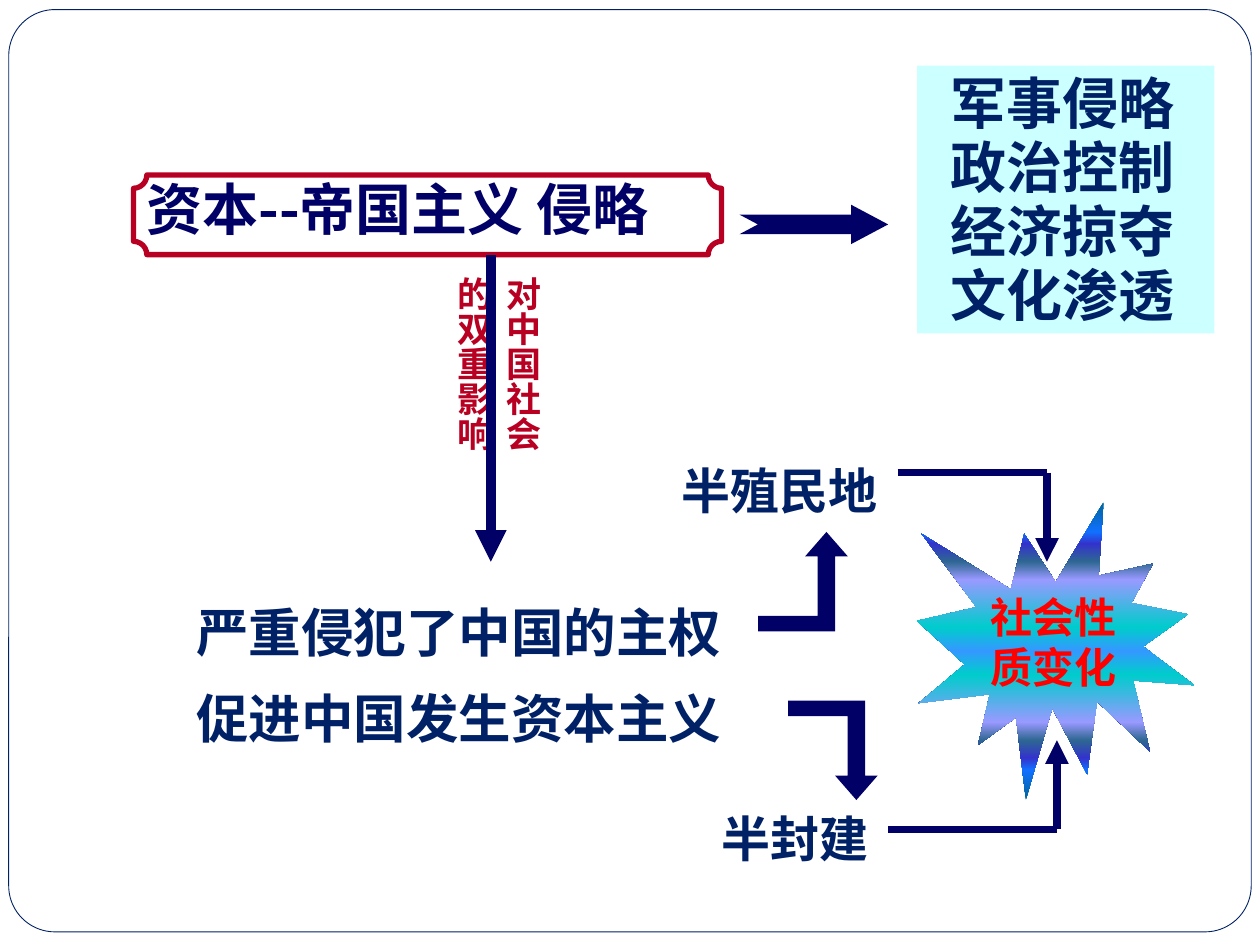
from lxml import etree
from pptx import Presentation
from pptx.dml.color import RGBColor
from pptx.enum.dml import MSO_LINE
from pptx.enum.shapes import MSO_CONNECTOR, MSO_SHAPE
from pptx.enum.text import MSO_ANCHOR, MSO_AUTO_SIZE, PP_ALIGN
from pptx.oxml.ns import qn
from pptx.util import Pt

SOLID = MSO_LINE.SOLID
STRAIGHT = MSO_CONNECTOR.STRAIGHT
TOP, MIDDLE = MSO_ANCHOR.TOP, MSO_ANCHOR.MIDDLE
LEFT, CENTER = PP_ALIGN.LEFT, PP_ALIGN.CENTER

THEME = {
    "ink": "002166", "arrow": "000066", "accent": "B80023", "alert": "FF0000",
    "panel": "CCFFFF", "font": "Noto Sans CJK JP", "font_sc": "Noto Sans CJK SC",
    "font_latin": "Times New Roman",
    "title": 32, "body": 30, "label": 28, "burst": 24, "note": 20,
}

# Content: text, with boxes as (left, top, width, height) in points
TITLE = "资本--帝国主义 侵略"
TITLE_BOX = (76.3, 94.3, 329, 46)
PLAQUE_BOX = (76.3, 100, 336, 45.5)
FRAME_BOX = (5, 5.5, 710, 527)
FORMS = ["军事侵略", "政治控制", "经济掠夺", "文化渗透"]
FORMS_BOX = (524, 37.5, 170, 153)
IMPACT = "对中国社会的双重影响"
IMPACT_BOX = (247, 151, 72, 124.5)
EFFECTS = ["严重侵犯了中国的主权", "促进中国发生资本主义"]
EFFECTS_BOX = (105, 332.6, 323, 97)
RESULTS = [("半殖民地", (382.3, 258.5, 127, 41)), ("半封建", (405.4, 457.2, 99, 41))]
CHANGE = ["社会性", "质变化"]
CHANGE_BOX = (524, 287, 158.5, 170)
NOTCHED_BOX = (422.5, 117, 85, 22.5)

# Lines: (points along the route, width); the last segment has the arrowhead
ROUTES = [
    ([(513, 270), (598.3, 270), (598.3, 321)], 4.5),
    ([(507.5, 474), (604, 474), (604, 423)], 4.5),
    ([(280.5, 145.5), (280.5, 321)], 6),
]
# Bent arrow outline, relative to its tip; y grows towards the tail
BENT_OUTLINE = [(0, 0), (-12.2, 14), (-5, 14), (-5, 48), (-39, 48),
                (-39, 56.8), (5, 56.8), (5, 14), (12.2, 14)]
BENT_ARROWS = [(472.3, 304, 1), (489.4, 457.2, -1)]  # tip x, tip y, direction

# First half of the burst's gradient, mirrored around the centre
HALF_GRADIENT = [(0, "006699"), (10, "1170FF"), (14, "3333CC"), (20, "2E6792"),
                 (26, "9999FF"), (42, "00CCCC"), (50, "3399FF")]


def color(name):
    return RGBColor.from_string(THEME[name])


def points(values):
    return [Pt(value) for value in values]


def write(shape, lines, size, ink, spacing, font="font", east_asian=None,
          align=LEFT, anchor=TOP, indent=0, wrap=True):
    """Fill a shape with paragraphs; spacing holds one line height per paragraph."""
    frame = shape.text_frame
    frame.auto_size = MSO_AUTO_SIZE.NONE
    frame.word_wrap = wrap
    frame.vertical_anchor = anchor
    frame.text = "\n".join(lines)
    for paragraph, height in zip(frame.paragraphs, spacing):
        paragraph.alignment = align
        paragraph.line_spacing = Pt(height)
        paragraph.font.size = Pt(THEME[size])
        paragraph.font.bold = True
        paragraph.font.color.rgb = color(ink)
        paragraph.font.name = THEME[font]
        properties = paragraph._p.get_or_add_pPr()
        if indent:
            properties.set("indent", str(Pt(indent)))
        defaults = properties.find(qn("a:defRPr"))
        typeface = etree.SubElement(defaults, qn("a:ea"))
        typeface.set("typeface", THEME[east_asian or font])
    return frame


def add_shape(kind, box, fill=None, line=None, width=1):
    shape = slide.shapes.add_shape(kind, *points(box))
    paint(shape, fill, line, width)
    return shape


def paint(shape, fill=None, line=None, width=1):
    shape.shadow.inherit = False
    if fill:
        shape.fill.solid()
        shape.fill.fore_color.rgb = color(fill)
    else:
        shape.fill.background()
    if line:
        shape.line.color.rgb = color(line)
        shape.line.width = Pt(width)
    else:
        shape.line.fill.background()


def add_text(box, lines, *args, **options):
    return write(slide.shapes.add_textbox(*points(box)), lines, *args, **options)


def add_route(route, width):
    for start, end in zip(route, route[1:]):
        connector = slide.shapes.add_connector(STRAIGHT, *points(start + end))
        connector.line.color.rgb = color("arrow")
        connector.line.width = Pt(width)
        connector.line.dash_style = SOLID
        properties = connector._element.spPr
        etree.SubElement(properties, qn("a:effectLst"))
    # The last segment of the route points at its target
    head = etree.SubElement(properties.find(qn("a:ln")), qn("a:tailEnd"))
    head.set("type", "triangle")


def add_bent_arrow(tip_x, tip_y, direction):
    outline = [(Pt(tip_x + x), Pt(tip_y + direction * y)) for x, y in BENT_OUTLINE]
    builder = slide.shapes.build_freeform(*outline[0])
    builder.add_line_segments(outline[1:], close=True)
    paint(builder.convert_to_shape(), "arrow")


def set_gradient(shape, half):
    shape.fill.gradient()
    shape.fill.gradient_angle = 270
    stops = shape._element.spPr.find(qn("a:gradFill")).find(qn("a:gsLst"))
    for stop in list(stops):
        stops.remove(stop)
    mirrored = [(100 - position, value) for position, value in half[-2::-1]]
    for position, value in half + mirrored:
        stop = etree.SubElement(stops, qn("a:gs"), pos=str(position * 1000))
        etree.SubElement(stop, qn("a:srgbClr"), val=value)


presentation = Presentation()
presentation.slide_width, presentation.slide_height = Pt(720), Pt(540)
slide = presentation.slides.add_slide(presentation.slide_layouts[5])

# Frame, title and its plaque
frame_shape = add_shape(MSO_SHAPE.ROUNDED_RECTANGLE, FRAME_BOX, line="ink", width=0.5)
frame_shape.adjustments[0] = 0.05
title = slide.shapes.title
title.left, title.top, title.width, title.height = points(TITLE_BOX)
write(title, [TITLE], "title", "arrow", [40], font="font_sc")
add_shape(MSO_SHAPE.PLAQUE, PLAQUE_BOX, line="accent", width=3)

# Forms of aggression
notched = add_shape(MSO_SHAPE.NOTCHED_RIGHT_ARROW, NOTCHED_BOX, "arrow")
notched.adjustments[1] = 0.94
panel = add_shape(MSO_SHAPE.RECTANGLE, FORMS_BOX, "panel")
write(panel, FORMS, "title", "ink", [36.6] * len(FORMS), indent=12)

# Impact, effects and results
impact = add_text(IMPACT_BOX, [IMPACT], "note", "accent", [28.5],
                  font="font_latin", east_asian="font_sc")
impact._txBody.bodyPr.set("vert", "eaVert")
add_text(EFFECTS_BOX, EFFECTS, "body", "ink", [43, 49])
for text, box in RESULTS:
    add_text(box, [text], "label", "ink", [35], wrap=False)

# Change of society
burst = add_shape(MSO_SHAPE.EXPLOSION1, CHANGE_BOX)
set_gradient(burst, HALF_GRADIENT)
burst_frame = write(burst, CHANGE, "burst", "alert", [28.8] * len(CHANGE),
                    font="font_sc", align=CENTER, anchor=MIDDLE)
burst_frame.margin_left = burst_frame.margin_right = 0

# Arrows
for route, width in ROUTES:
    add_route(route, width)
for arrow in BENT_ARROWS:
    add_bent_arrow(*arrow)

presentation.save("out.pptx")
